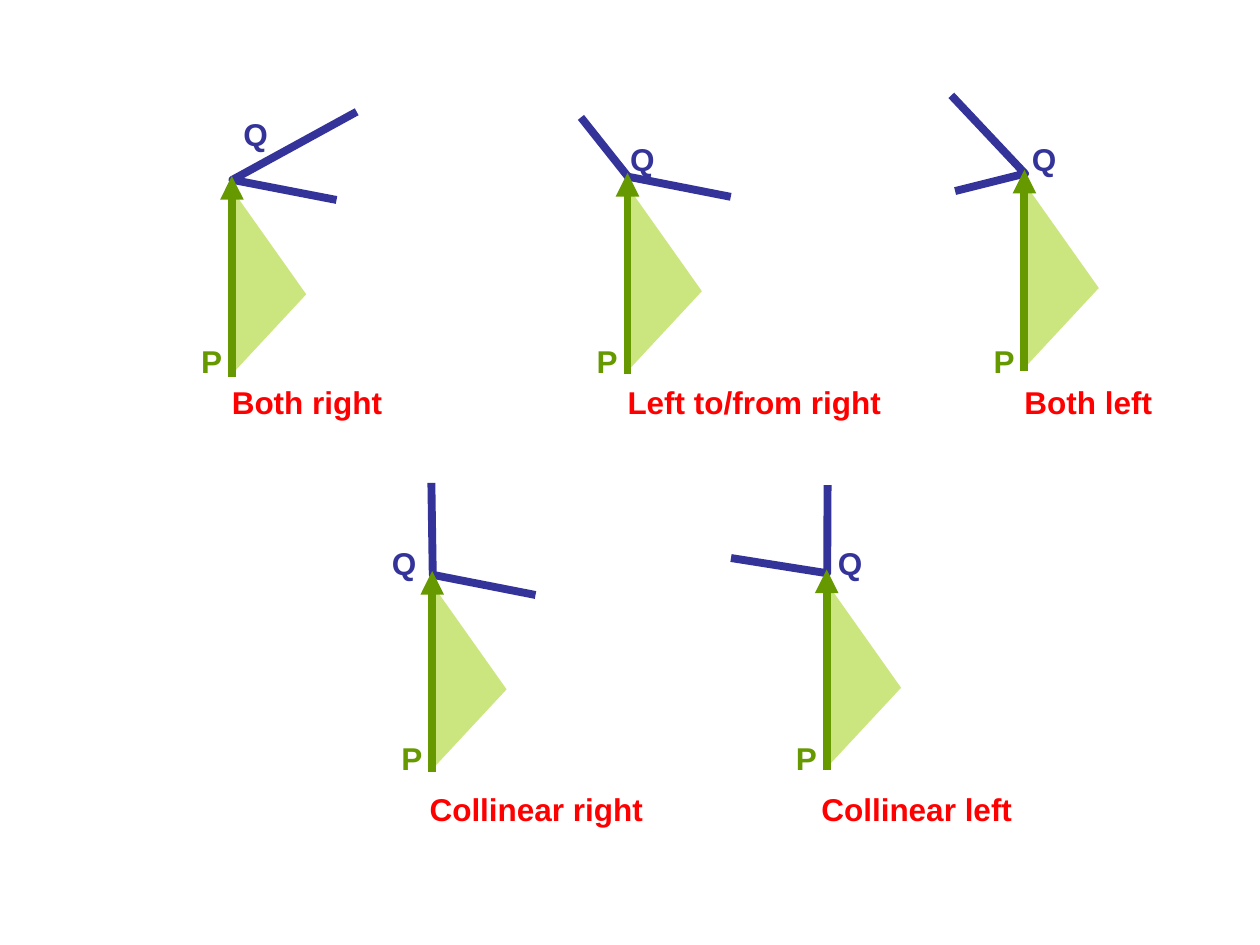
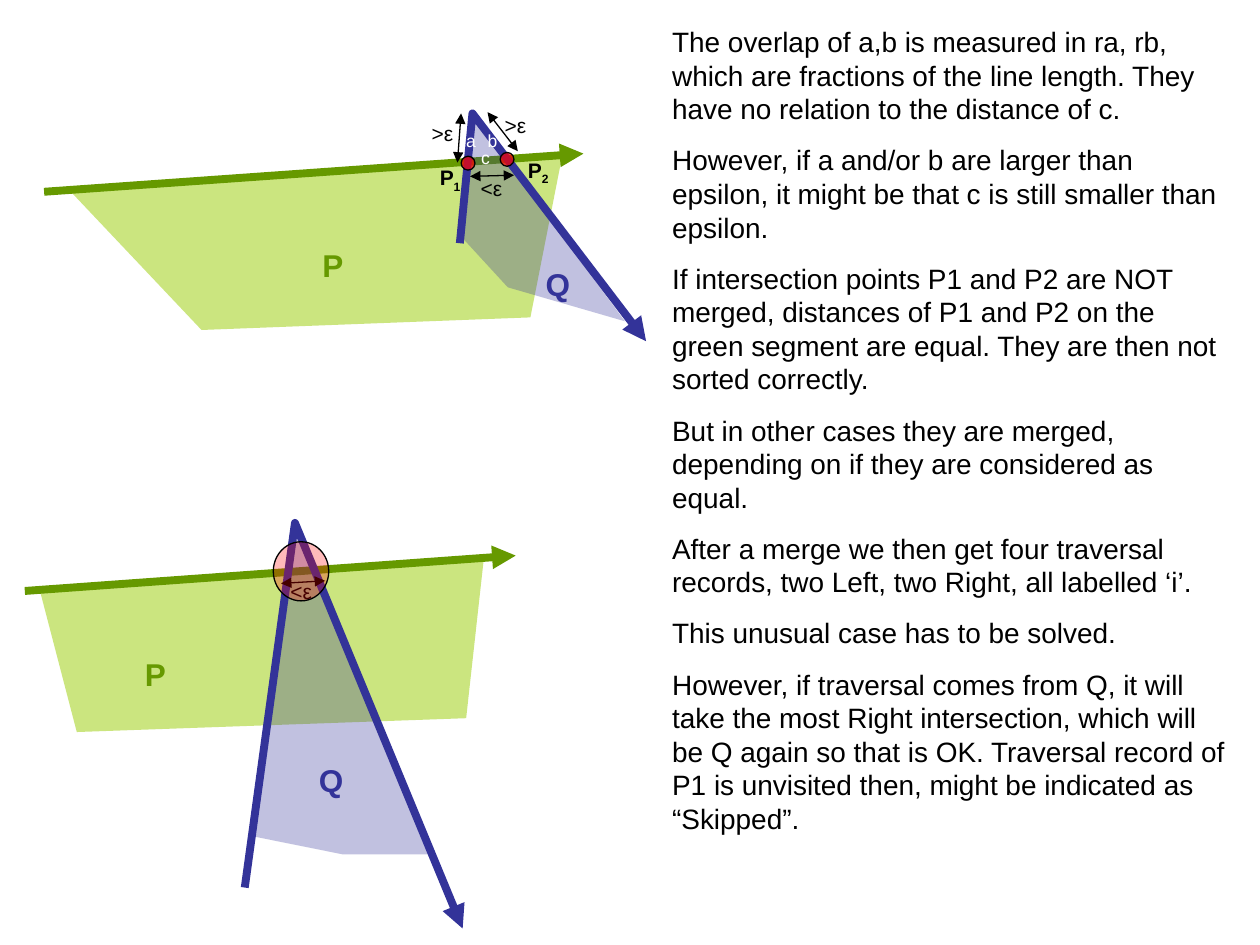
"""Draw the segment-side cases and the merged-intersection cases on two slides."""
from lxml.etree import SubElement
from pptx import Presentation
from pptx.dml.color import RGBColor
from pptx.enum.shapes import MSO_CONNECTOR as Conn, MSO_SHAPE as Geo
from pptx.enum.text import MSO_AUTO_SIZE as Fit
from pptx.oxml.ns import qn
from pptx.util import Pt

LIME, GREEN, BLUE = "99CC00", "669900", "333399"
RED, BLACK, WHITE = "FF0000", "000000", "FFFFFF"


def rgb(code):
    return RGBColor.from_string(code)


def add_run(p, text, size=18, color=BLACK, bold=False, baseline=0):
    r = p.add_run()
    r.text = text
    f = r.font
    f.name, f.size, f.bold = "Arial", Pt(size), bold
    f.color.rgb = rgb(color)
    if baseline:
        r._r.get_or_add_rPr().set("baseline", str(baseline * 1000))


class Sketch:
    def __init__(self, prs):
        self.prs = prs

    def new_slide(self):
        self.shapes = self.prs.slides.add_slide(self.prs.slide_layouts[6]).shapes

    def fill(self, sp, color, opacity):
        sp.fill.solid()
        sp.fill.fore_color.rgb = rgb(color)
        tint = sp._element.spPr.find(qn("a:solidFill"))[0]
        SubElement(tint, qn("a:alpha")).set("val", str(opacity * 1000))

    def stroke(self, sp, color, width, ends=()):
        sp.line.width = Pt(width)
        sp.line.color.rgb = rgb(color)
        ln = sp._element.spPr.find(qn("a:ln"))
        SubElement(ln, qn("a:round"))
        for end in ends:
            SubElement(ln, qn(f"a:{end}")).set("type", "triangle")

    def outline(self, points, closed):
        start, *rest = [(Pt(x), Pt(y)) for x, y in points]
        builder = self.shapes.build_freeform(*start)
        builder.add_line_segments(rest, close=closed)
        sp = builder.convert_to_shape()
        sp.shadow.inherit = False
        return sp

    def area(self, points, color, opacity):
        sp = self.outline(points, True)
        self.fill(sp, color, opacity)
        sp.line.fill.background()

    def polyline(self, points, color, ends=()):
        sp = self.outline(points, False)
        sp.fill.background()
        self.stroke(sp, color, 4.5, ends)

    def arrow(self, start, end, color=GREEN, width=4.5, ends=("tailEnd",)):
        line = self.shapes.add_connector(Conn.STRAIGHT, *map(Pt, (*start, *end)))
        self.stroke(line, color, width, ends)
        SubElement(line._element.spPr, qn("a:effectLst"))

    def circle(self, x, y, w, h, opacity):
        sp = self.shapes.add_shape(Geo.OVAL, *map(Pt, (x, y, w, h)))
        sp.shadow.inherit = False
        self.fill(sp, RED, opacity)
        self.stroke(sp, BLACK, 0.75)

    def frame(self, x, y, w, h, wrap=False, inset=(0, 0)):
        tf = self.shapes.add_textbox(*map(Pt, (x, y, w, h))).text_frame
        tf.word_wrap = wrap
        tf.auto_size = Fit.SHAPE_TO_FIT_TEXT
        tf.margin_left = tf.margin_right = Pt(inset[0])
        tf.margin_top = tf.margin_bottom = Pt(inset[1])
        return tf

    def label(self, text, x, y, w, h=21.6, sub="", **style):
        p = self.frame(x, y, w, h).paragraphs[0]
        add_run(p, text, **style)
        if sub:
            add_run(p, sub, baseline=-25, **style)

    def name(self, letter, x, y):
        width, color = {"P": (12.2, GREEN), "Q": (14.2, BLUE)}[letter]
        self.label(letter, x, y, width, color=color, bold=True)

    def measure(self, text, start, end, x, y):
        self.arrow(start, end, BLACK, 0.75, ("headEnd", "tailEnd"))
        self.label(text, x, y, 14, 14.4, size=12)

    def paragraphs(self, texts, x, y, w, h):
        tf = self.frame(x, y, w, h, True, (7.2, 3.6))
        for i, text in enumerate(texts):
            p = tf.add_paragraph() if i else tf.paragraphs[0]
            p.space_before = Pt(10 if i else 0)
            add_run(p, text, size=16)

    def side_case(self, caption, width, tip, arms, q, p_top, caption_at):
        x, y = tip
        first, last = [(x + dx, y + dy) for dx, dy in arms]
        self.polyline([first, (x + 0.3, y + 2.2), last], BLUE)
        self.area([(x - 0.5, y + 113.8), (x - 0.5, y + 6.9), (x + 42.5, y + 67.6)], LIME, 50)
        self.name("P", x - 17.6, p_top)
        self.name("Q", *q)
        self.label(caption, *caption_at, width, color=RED, bold=True)
        self.arrow((x, y + 114.8), tip)

    def crossing(self, band, p_at, segment, spike, wedge, q_at):
        self.area(band, LIME, 50)
        self.name("P", *p_at)
        self.arrow(*segment)
        self.polyline(spike, BLUE, ("tailEnd",))
        self.area(wedge, BLUE, 30)
        self.name("Q", *q_at)


SIDE_CASES = [
    ("Both right", 88, (132.5, 100.6), [(59.8, 13.7), (71.3, -36.7)],
     (139, 65.5), 195.4, (132.5, 218.9)),
    ("Left to/from right", 147, (358.6, 98.8), [(59, 13.7), (-26.6, -31.7)],
     (360, 79.9), 195.4, (358.6, 218.9)),
    ("Both left", 75, (585.4, 97), [(-41.8, -42.5), (-39.6, 12.2)],
     (589.7, 79.9), 195.4, (585.4, 218.9)),
    ("Collinear right", 124, (247, 326.3), [(59, 13.7), (-0.5, -50.4)],
     (223.9, 311), 422.2, (245.5, 451.4)),
    ("Collinear left", 111, (472.4, 325.4), [(0.5, -48.2), (-54.7, -6.5)],
     (478.8, 311), 422.2, (469.4, 451.4)),
]
CROSSINGS = [
    dict(band=[(40.3, 109.4), (115.2, 188.6), (303.1, 181.4), (321.1, 90)],
         p_at=(184.3, 140.4), segment=[(25.2, 109.6), (333.4, 87.8)],
         spike=[(262.8, 139), (270, 64.8), (369.2, 195)],
         wedge=[(290.2, 164.2), (265, 136.8), (270.7, 67), (357.1, 183.6)],
         q_at=(311.8, 151.2)),
    dict(band=[(22.3, 335.5), (43.9, 418.3), (266.4, 410.4), (276.5, 319)],
         p_at=(82.8, 374.4), segment=[(14.2, 337.7), (294.7, 317.5)],
         spike=[(139.9, 507.2), (168.6, 298.8), (264.4, 530.6)],
         wedge=[(195.8, 488.2), (145.4, 478.1), (169.2, 301), (247, 488.2)],
         q_at=(182.2, 434.9)),
]
MEASURES = [
    (">ε", (278.6, 64.1), (295.9, 86.4), 288.4, 64.1),
    (">ε", (263.5, 64.8), (261.4, 92.9), 246.7, 69.1),
    ("<ε", (293.8, 100.1), (268.6, 100.8), 274.7, 100.1),
    ("<ε", (185.8, 331.9), (160.6, 333.4), 166, 330.5),
]
DISTANCES = [("a", 266.4, 74.2), ("b", 278.6, 74.2), ("c", 275, 84.2)]
POINTS = [("1", 251.3, 94.3), ("2", 301.7, 90)]
CIRCLES = [(263.5, 89.3, 7.9, 7.9, 70), (285.8, 87.1, 7.9, 7.9, 70),
           (156.2, 309.6, 31.7, 33.8, 27)]
EXPLANATION = [
    "The overlap of a,b is measured in ra, rb, which are fractions of the line length. "
    "They have no relation to the distance of c.",
    "However, if a and/or b are larger than epsilon, it might be that c is still "
    "smaller than epsilon.",
    "If intersection points P1 and P2 are NOT merged, distances of P1 and P2 on the "
    "green segment are equal. They are then not sorted correctly.",
    "But in other cases they are merged, depending on if they are considered as equal.",
    "After a merge we then get four traversal records, two Left, two Right, all "
    "labelled ‘i’.",
    "This unusual case has to be solved.",
    "However, if traversal comes from Q, it will take the most Right intersection, "
    "which will be Q again so that is OK. Traversal record of P1 is unvisited then, "
    "might be indicated as “Skipped”.",
]


def main():
    prs = Presentation()
    prs.slide_width, prs.slide_height = Pt(720), Pt(540)
    s = Sketch(prs)

    s.new_slide()
    for case in SIDE_CASES:
        s.side_case(*case)

    s.new_slide()
    for crossing in CROSSINGS:
        s.crossing(**crossing)
    for measure in MEASURES:
        s.measure(*measure)
    s.paragraphs(EXPLANATION, 377, 10.6, 331.9, 470.2)
    for letter, x, y in DISTANCES:
        s.label(letter, x, y, 5.8, 12.2, size=10, color=WHITE)
    for index, x, y in POINTS:
        s.label("P", x, y, 13, 16.6, sub=index, size=12, bold=True)
    for circle in CIRCLES:
        s.circle(*circle)

    prs.save("out.pptx")


if __name__ == "__main__":
    main()
